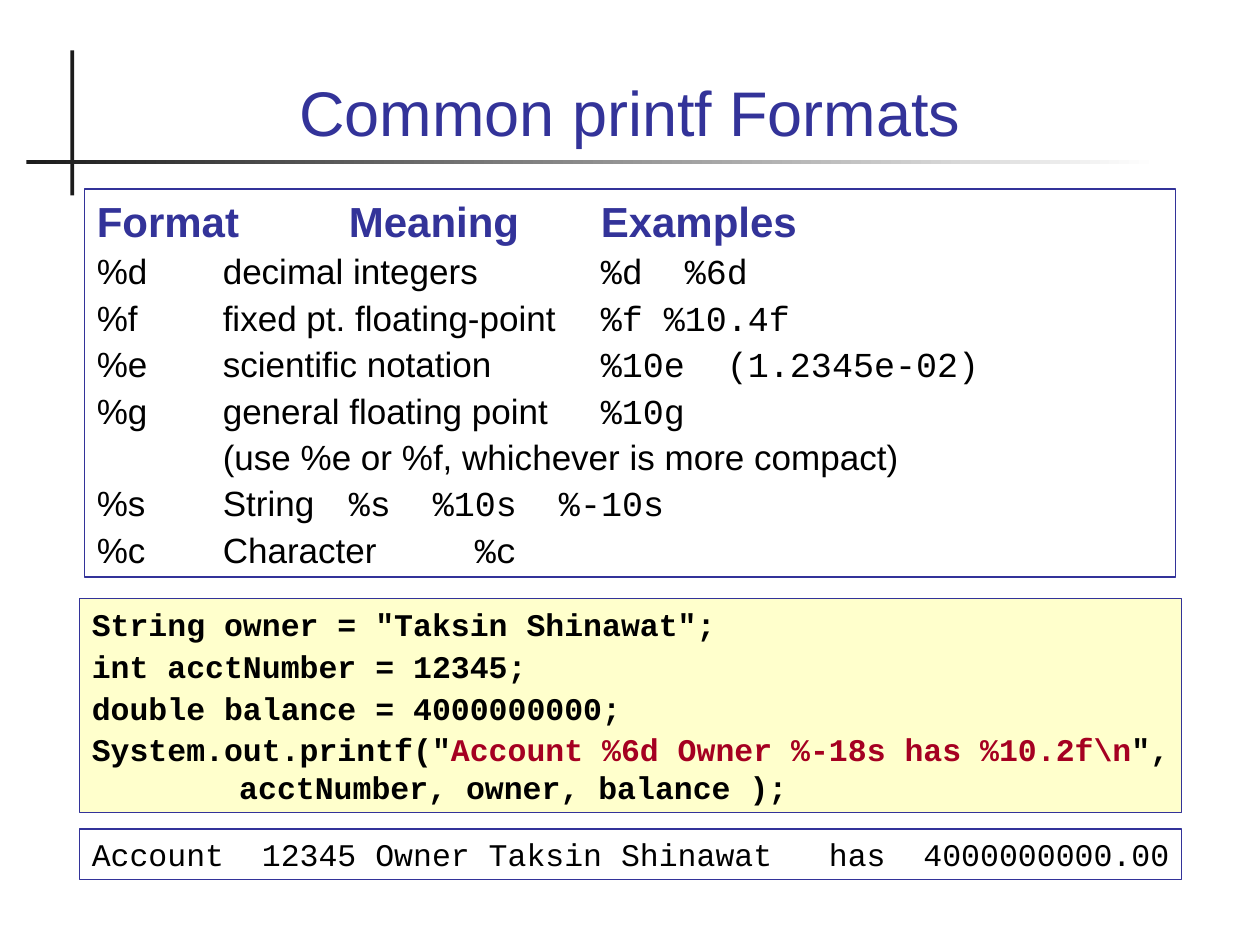
from dataclasses import dataclass
from typing import Optional

from lxml.etree import SubElement
from pptx import Presentation
from pptx.dml.color import RGBColor
from pptx.enum.shapes import MSO_SHAPE
from pptx.enum.text import MSO_ANCHOR, PP_ALIGN
from pptx.oxml.ns import qn
from pptx.util import Inches, Pt


@dataclass(frozen=True)
class Theme:
    sans: str = "Arial"
    mono: str = "Courier New"
    accent: RGBColor = RGBColor(0x33, 0x33, 0x99)
    ink: RGBColor = RGBColor(0, 0, 0)
    rule: RGBColor = RGBColor(0x1C, 0x1C, 0x1C)
    paper: RGBColor = RGBColor(0xFF, 0xFF, 0xFF)
    code_fill: RGBColor = RGBColor(0xFF, 0xFF, 0xCC)
    literal: RGBColor = RGBColor(0xA5, 0x00, 0x21)
    title_size: float = 36
    heading_size: float = 24
    body_size: float = 20
    code_size: float = 18
    code_leading: float = 21.7
    border: float = 0.75


THEME = Theme()


@dataclass(frozen=True)
class Box:
    left: float
    top: float
    width: float
    height: float


@dataclass(frozen=True)
class Run:
    text: str
    size: float = THEME.body_size
    font: str = THEME.sans
    color: RGBColor = THEME.ink
    bold: bool = False


@dataclass(frozen=True)
class FormatRow:
    label: str
    example: str = ""

    def runs(self) -> list[Run]:
        if not self.example:
            return [Run(self.label)]
        return [Run(self.label + "\t"), Run(self.example, font=THEME.mono)]


FORMAT_ROWS = [
    FormatRow("%d\tdecimal integers", "%d  %6d"),
    FormatRow("%f\tfixed pt. floating-point", "%f %10.4f"),
    FormatRow("%e\tscientific notation", "%10e  (1.2345e-02)"),
    FormatRow("%g\tgeneral floating point", "%10g"),
    FormatRow("\t(use %e or %f, whichever is more compact)"),
    FormatRow("%s\tString", "%s  %10s  %-10s"),
    FormatRow("%c\tCharacter", "%c"),
]


def code(text: str, color: RGBColor = THEME.ink, bold: bool = True) -> Run:
    return Run(text, THEME.code_size, THEME.mono, color, bold)


CODE_LINES = [
    [code('String owner = "Taksin Shinawat";')],
    [code("int acctNumber = 12345;")],
    [code("double balance = 4000000000;")],
    [
        code('System.out.printf("'),
        code("Account %6d Owner %-18s has %10.2f\\n", THEME.literal),
        code('",\n\t\t\tacctNumber, owner, balance );'),
    ],
]
OUTPUT_LINES = [[code("Account  12345 Owner Taksin Shinawat   has  4000000000.00", bold=False)]]


def add_rectangle(slide, box: Box, fill: Optional[RGBColor] = None, line: Optional[RGBColor] = None):
    shape = slide.shapes.add_shape(
        MSO_SHAPE.RECTANGLE, Inches(box.left), Inches(box.top), Inches(box.width), Inches(box.height)
    )
    shape.shadow.inherit = False
    if fill is None:
        shape.fill.background()
    else:
        shape.fill.solid()
        shape.fill.fore_color.rgb = fill
    if line is None:
        shape.line.fill.background()
    else:
        shape.line.color.rgb = line
        shape.line.width = Pt(THEME.border)
    return shape


def add_tabs(paragraph, step: float, count: int) -> None:
    tab_list = SubElement(paragraph._p.get_or_add_pPr(), qn("a:tabLst"))
    for number in range(1, count + 1):
        SubElement(tab_list, qn("a:tab"), pos=str(Inches(step * number)), algn="l")


def add_run(paragraph, run: Run) -> None:
    for index, piece in enumerate(run.text.split("\n")):
        if index:
            paragraph.add_line_break()
        text_run = paragraph.add_run()
        text_run.text = piece
        text_run.font.size = Pt(run.size)
        text_run.font.name = run.font
        text_run.font.bold = run.bold
        text_run.font.color.rgb = run.color


def write_text(
    shape,
    lines: list[list[Run]],
    *,
    align: PP_ALIGN = PP_ALIGN.LEFT,
    anchor: MSO_ANCHOR = MSO_ANCHOR.TOP,
    space_before: float = 0,
    leading: Optional[float] = None,
    tab_step: float = 0,
    tab_count: int = 0,
) -> None:
    frame = shape.text_frame
    frame.word_wrap = True
    frame.vertical_anchor = anchor
    for index, runs in enumerate(lines):
        paragraph = frame.add_paragraph() if index else frame.paragraphs[0]
        if tab_count:
            add_tabs(paragraph, tab_step, tab_count)
        paragraph.alignment = align
        paragraph.space_before = Pt(space_before if index else 0)
        if leading:
            paragraph.line_spacing = Pt(leading)
        for run in runs:
            add_run(paragraph, run)


def add_title_rules(slide) -> None:
    add_rectangle(slide, Box(0.56, 0.4, 0.03, 1.15), THEME.rule)
    fading_rule = add_rectangle(slide, Box(0.21, 1.27, 8.99, 0.03))
    fading_rule.fill.gradient()
    fading_rule.fill.gradient_angle = 0
    for stop, color in zip(fading_rule.fill.gradient_stops, (THEME.rule, THEME.paper)):
        stop.color.rgb = color


def main() -> None:
    presentation = Presentation()
    presentation.slide_width = Inches(10)
    presentation.slide_height = Inches(7.5)
    slide = presentation.slides.add_slide(presentation.slide_layouts[6])

    add_title_rules(slide)
    title = slide.shapes.add_textbox(Inches(0.67), Inches(0.28), Inches(8.66), Inches(0.95))
    title_run = Run("Common printf Formats", THEME.title_size, color=THEME.accent)
    write_text(title, [[title_run]], align=PP_ALIGN.CENTER, anchor=MSO_ANCHOR.BOTTOM)

    formats = add_rectangle(slide, Box(0.67, 1.5, 8.66, 3.08), line=THEME.accent)
    heading = Run("Format\tMeaning\tExamples", THEME.heading_size, color=THEME.accent, bold=True)
    rows = [[heading]] + [row.runs() for row in FORMAT_ROWS]
    write_text(formats, rows, space_before=2.5, tab_step=1, tab_count=8)

    listing = add_rectangle(slide, Box(0.63, 4.75, 8.75, 1.7), THEME.code_fill, THEME.accent)
    write_text(listing, CODE_LINES, space_before=2.2, leading=THEME.code_leading, tab_step=0.39, tab_count=7)

    output = add_rectangle(slide, Box(0.63, 6.58, 8.75, 0.4), line=THEME.accent)
    write_text(output, OUTPUT_LINES, leading=THEME.code_leading)

    presentation.save("out.pptx")


if __name__ == "__main__":
    main()
